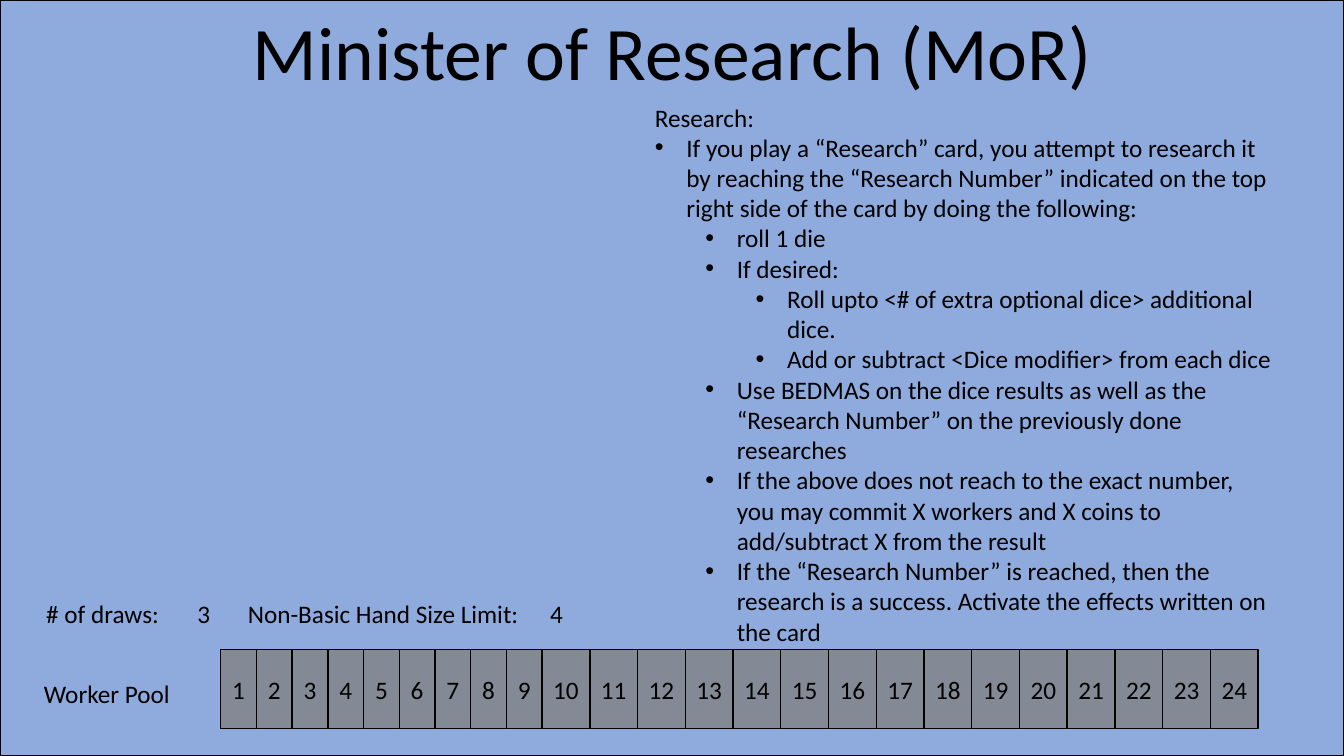
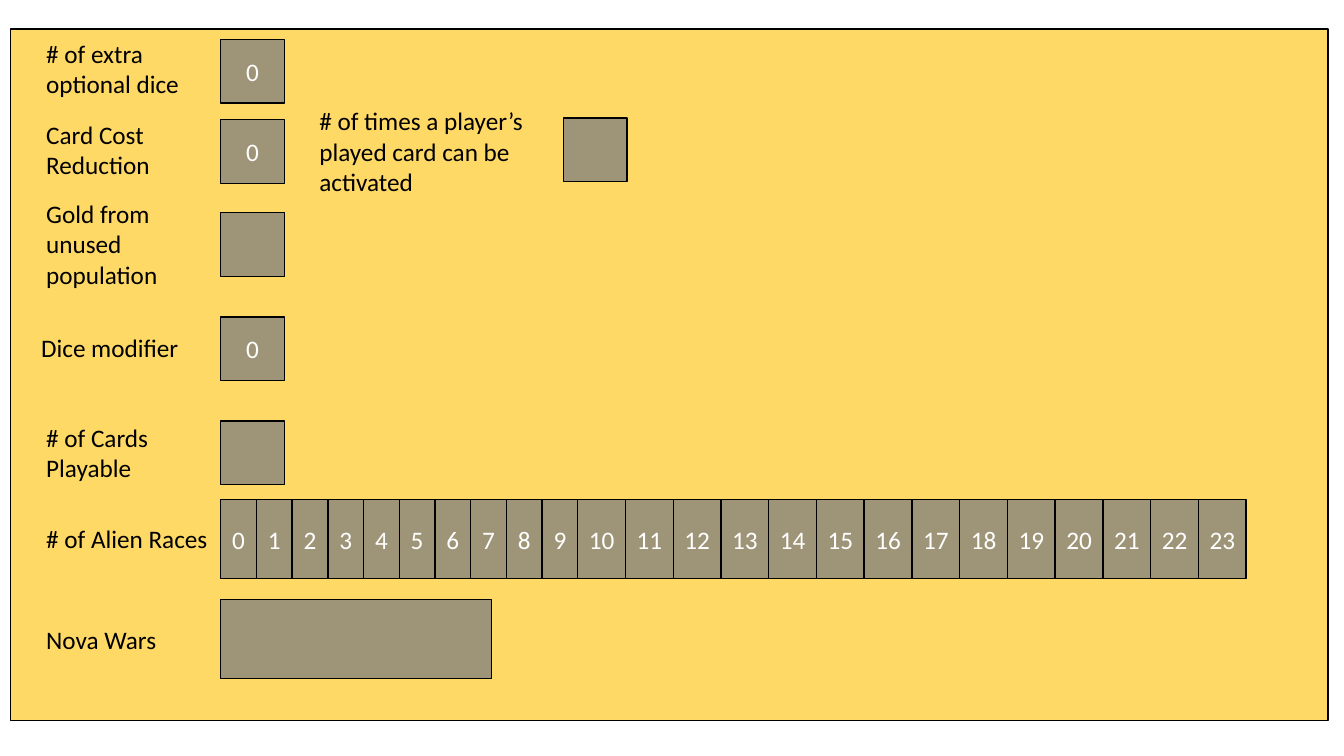
from lxml.etree import SubElement
from pptx import Presentation
from pptx.dml.color import RGBColor
from pptx.enum.shapes import MSO_SHAPE
from pptx.enum.text import MSO_ANCHOR as Anchor, MSO_AUTO_SIZE as AutoSize, PP_ALIGN as Align
from pptx.oxml.ns import qn
from pptx.util import Pt

# Shared look
COLORS = {
    "ink": "000000",
    "light": "FFFFFF",
    "blue": "8FAADC",
    "yellow": "FFD966",
    "counter": "808080",
}
BODY = {"name": "Calibri", "size": Pt(18)}
TITLE = {"name": "Calibri", "size": Pt(54)}
SLIDE_WIDTH, SLIDE_HEIGHT = 960, 540
COUNTER_OPACITY = "76000"

# Board grid, in points
LABEL_LEFT = 25.9
COUNTER_LEFT = 157.7
SQUARE = 45.5
TRACK_HEIGHT = 56.5
NARROW_CELL, WIDE_CELL = 25.5, 34.1  # one and two digits
LINE_HEIGHT, BOX_PADDING = 21.8, 7.2
BULLET_HANG, LEVEL_STEP = 22.5, 36

# Paragraphs of the rules: bullet level (None for plain) and text
RULES = [
    (None, "Research:"),
    (0, "If you play a “Research” card, you attempt to research it by reaching the "
        "“Research Number” indicated on the top right side of the card by doing the following:"),
    (1, "roll 1 die"),
    (1, "If desired:"),
    (2, "Roll upto <# of extra optional dice> additional dice."),
    (2, "Add or subtract <Dice modifier> from each dice"),
    (1, "Use BEDMAS on the dice results as well as the “Research Number” on the "
        "previously done researches"),
    (1, "If the above does not reach to the exact number, you may commit X workers and "
        "X coins to add/subtract X from the result"),
    (1, "If the “Research Number” is reached, then the research is a success. "
        "Activate the effects written on the card"),
]

# Label, its left, top, width and line count; counter left, top and value
COUNTERS = [
    ("# of extra optional dice", LABEL_LEFT, 23.8, 120, 2, COUNTER_LEFT, 28, "0"),
    ("Card Cost Reduction", LABEL_LEFT, 81.5, 120, 2, COUNTER_LEFT, 85.5, "0"),
    ("Gold from unused population", LABEL_LEFT, 138.2, 120, 3, COUNTER_LEFT, 152, ""),
    ("Dice modifier", 22.3, 234, 120, 1, COUNTER_LEFT, 226.3, "0"),
    ("# of Cards Playable", LABEL_LEFT, 298.2, 120, 2, COUNTER_LEFT, 300.8, ""),
    ("# of times a player’s played card can be activated",
     221, 72, 209.5, 3, 402.3, 84.2, ""),
]


def color(name):
    return RGBColor.from_string(COLORS[name])


def write(para, text, look, ink="ink"):
    span = para.add_run()
    span.text = text
    for key, value in look.items():
        setattr(span.font, key, value)
    span.font.color.rgb = color(ink)


def add_title(page, text):
    title = page.shapes.title
    place = {"left": 170, "top": 0, "width": 620.5, "height": 72.7}
    for key, value in place.items():
        setattr(title, key, Pt(value))
    frame = title.text_frame
    settings = {"word_wrap": False, "auto_size": AutoSize.NONE, "vertical_anchor": Anchor.TOP}
    for key, value in settings.items():
        setattr(frame, key, value)
    frame.paragraphs[0].alignment = Align.CENTER
    write(frame.paragraphs[0], text, TITLE)


def add_text(page, left, top, width, lines):
    height = LINE_HEIGHT * lines + BOX_PADDING
    box = page.shapes.add_textbox(Pt(left), Pt(top), Pt(width), Pt(height))
    box.text_frame.word_wrap = True
    return box.text_frame


def add_label(page, text, left, top, width=141, lines=1):
    write(add_text(page, left, top, width, lines).paragraphs[0], text, BODY)


def add_bullet(para, level):
    props = para._p.get_or_add_pPr()
    props.set("marL", str(Pt(BULLET_HANG + LEVEL_STEP * level)))
    props.set("indent", str(-Pt(BULLET_HANG)))
    SubElement(props, qn("a:buFont")).set("typeface", "Arial")
    SubElement(props, qn("a:buChar")).set("char", "•")
    para.level = level


def add_rules(page, left, top, width):
    frame = add_text(page, left, top, width, 18)
    for index, (level, text) in enumerate(RULES):
        para = frame.add_paragraph() if index else frame.paragraphs[0]
        if level is not None:
            add_bullet(para, level)
        write(para, text, BODY)


def add_rectangle(page, left, top, width, height, fill):
    box = page.shapes.add_shape(MSO_SHAPE.RECTANGLE, Pt(left), Pt(top), Pt(width), Pt(height))
    box.shadow.inherit = False
    box.fill.solid()
    box.fill.fore_color.rgb = color(fill)
    box.line.color.rgb = color("ink")
    box.line.width = Pt(1)
    return box


def add_panel(page, left, top, width, height, fill):
    panel = add_rectangle(page, left, top, width, height, fill)
    # Send behind everything, the title included
    panel.element.getparent().insert(2, panel.element)


def add_counter(page, left, top, width, height, text="", ink="light"):
    box = add_rectangle(page, left, top, width, height, "counter")
    fill = box.element.spPr.find(qn("a:solidFill"))
    SubElement(fill[0], qn("a:alpha")).set("val", COUNTER_OPACITY)
    if text:
        frame = box.text_frame
        frame.margin_left = frame.margin_right = 0
        frame.vertical_anchor = Anchor.MIDDLE
        frame.paragraphs[0].alignment = Align.CENTER
        write(frame.paragraphs[0], text, BODY, ink)


def add_track(page, top, numbers, ink):
    left = COUNTER_LEFT
    for number in numbers:
        width = NARROW_CELL if number < 10 else WIDE_CELL
        add_counter(page, left, top, width, TRACK_HEIGHT, str(number), ink)
        left += width


def build_minister(deck):
    page = deck.slides.add_slide(deck.slide_layouts[5])
    add_panel(page, 0, 0, SLIDE_WIDTH, SLIDE_HEIGHT, "blue")
    add_title(page, "Minister of Research (MoR)")
    add_rules(page, 460.7, 69.2, 458)
    add_label(page, "Worker Pool", 24.3, 481)
    add_track(page, 464, range(1, 25), "ink")
    add_label(page, "# of draws:\t3\tNon-Basic Hand Size Limit:\t4", LABEL_LEFT, 424, 500)


def build_board(deck):
    page = deck.slides.add_slide(deck.slide_layouts[6])
    add_panel(page, 7.7, 20.8, 941, 494, "yellow")
    for label, left, top, width, lines, box_left, box_top, value in COUNTERS:
        add_label(page, label, left, top, width, lines)
        add_counter(page, box_left, box_top, SQUARE, SQUARE, value)
    add_label(page, "# of Alien Races", LABEL_LEFT, 370.3)
    add_track(page, 356.7, range(24), "light")
    add_label(page, "Nova Wars", LABEL_LEFT, 442.3)
    add_counter(page, COUNTER_LEFT, 428.3, 193.5, TRACK_HEIGHT)


def main():
    deck = Presentation()
    deck.slide_width, deck.slide_height = Pt(SLIDE_WIDTH), Pt(SLIDE_HEIGHT)
    build_minister(deck)
    build_board(deck)
    deck.save("out.pptx")


if __name__ == "__main__":
    main()
